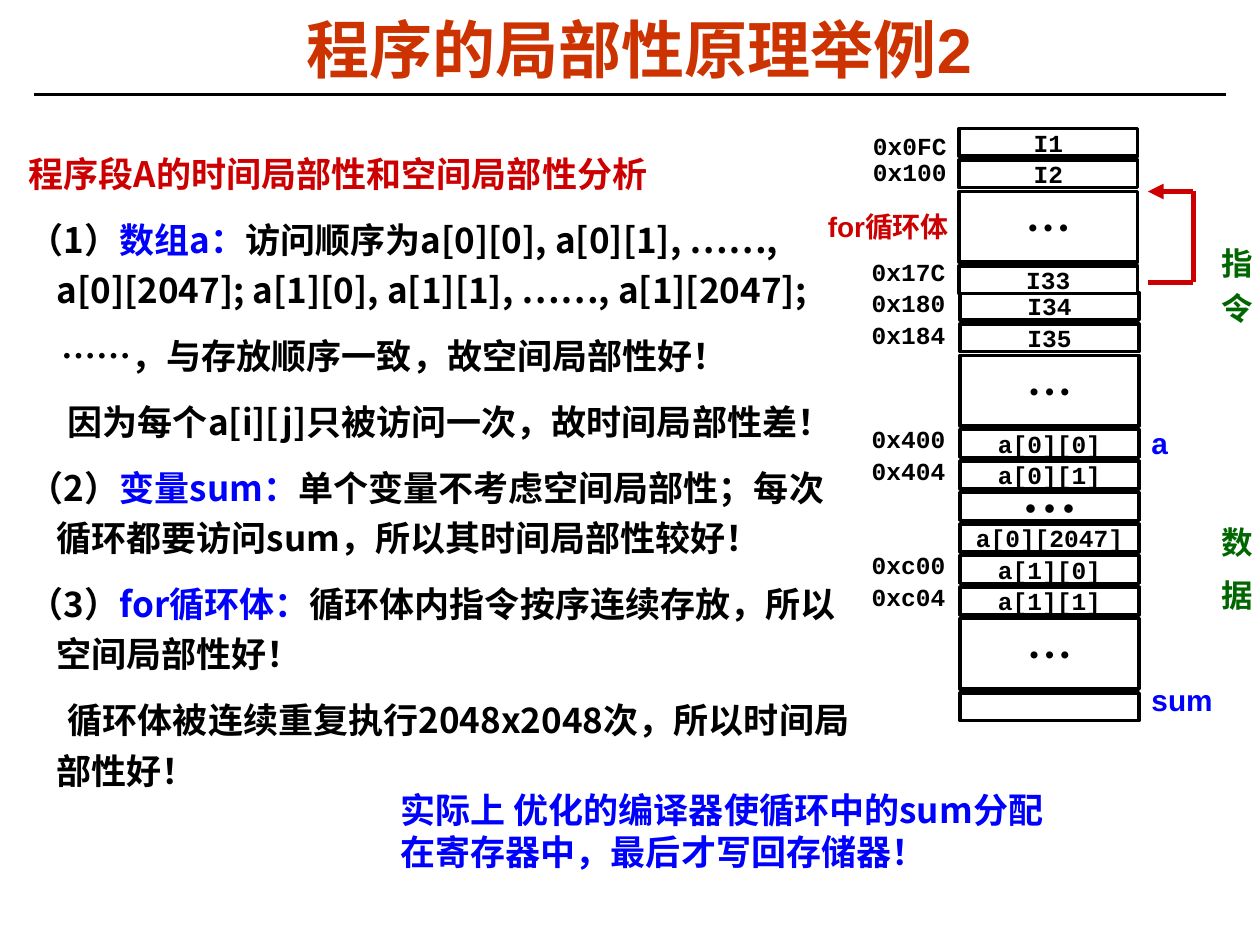
import lxml.etree
import pptx
import pptx.dml.color
import pptx.enum.shapes
import pptx.enum.text
import pptx.oxml.ns
import pptx.util

Inches = pptx.util.Inches
Pt = pptx.util.Pt
RGBColor = pptx.dml.color.RGBColor
Align = pptx.enum.text.PP_ALIGN
Anchor = pptx.enum.text.MSO_ANCHOR
qn = pptx.oxml.ns.qn

BLACK = RGBColor(0x00, 0x00, 0x00)
WHITE = RGBColor(0xFF, 0xFF, 0xFF)
ORANGE = RGBColor(0xCC, 0x33, 0x00)
RED = RGBColor(0xCC, 0x00, 0x00)
BLUE = RGBColor(0x00, 0x00, 0xFF)
GREEN = RGBColor(0x00, 0x66, 0x00)

CJK = "Noto Sans CJK SC"
MONO = "Courier New"
DOTS = "• • •"
ROW_HEIGHT, TALL_HEIGHT, ROW_GAP = 0.22, 0.56, 0.03

UPPER_ROWS = ["I1", "I2", DOTS, "I33"]
LOWER_ROWS = ["I34", "I35", DOTS, "a[0][0]", "a[0][1]", "short dots",
              "a[0][2047]", "a[1][0]", "a[1][1]", DOTS, ""]
ADDRESSES = [("0x0FC", 0.01, 0), ("0x100", 0.01, 0.21), ("0x17C", 0, 1),
             ("0x180", 0, 1.25), ("0x184", 0, 1.5), ("0x400", 0, 2.33),
             ("0x404", 0, 2.58), ("0xc00", 0, 3.33), ("0xc04", 0, 3.58)]
ANALYSIS = [
    (-0.22, 1.1, [("程序段A的时间局部性和空间局部性分析", RED)]),
    (-0.22, 1.2, [("（1）", BLACK), ("数组a：", BLUE),
                  ("访问顺序为a[0][0], a[0][1], ……, a[0][2047]; "
                   "a[1][0], a[1][1], ……, a[1][2047];", BLACK)]),
    (0.04, 1.2, [("……，与存放顺序一致，故空间局部性好！", BLACK)]),
    (0.09, 1.2, [("因为每个a[i][j]只被访问一次，故时间局部性差！", BLACK)]),
    (-0.22, 1.2, [("（2）", BLACK), ("变量sum：", BLUE),
                  ("单个变量不考虑空间局部性；每次循环都要访问sum，"
                   "所以其时间局部性较好！", BLACK)]),
    (-0.22, 1.2, [("（3）", BLACK), ("for循环体：", BLUE),
                  ("循环体内指令按序连续存放，所以空间局部性好！", BLACK)]),
    (0.09, 1.2, [("循环体被连续重复执行2048x2048次，所以时间局部性好！", BLACK)]),
]


def set_values(target, values):
    """Set each attribute of the target from a dict."""
    for name, value in values.items():
        setattr(target, name, value)


def add_run(paragraph, text, size, color, font=CJK):
    """Append a bold run in the given style."""
    run = paragraph.add_run()
    run.text = text
    set_values(run.font, {"size": Pt(size), "bold": True, "name": font})
    run.font.color.rgb = color
    east_asian = lxml.etree.SubElement(run.font._element, qn("a:ea"))
    east_asian.set("typeface", CJK)


def set_frame(shape, inset=(0.1, 0.05), wrap=True, anchor=Anchor.TOP):
    """Set the insets, wrapping and anchor of a shape's text."""
    frame = shape.text_frame
    across, down = map(Inches, inset)
    set_values(frame, {"margin_left": across, "margin_right": across,
                       "margin_top": down, "margin_bottom": down,
                       "word_wrap": wrap, "vertical_anchor": anchor})
    return frame


def add_label(slide, box, text, size, color, font=CJK, **frame_values):
    """Add a text box with one run and return its paragraph."""
    shape = slide.shapes.add_textbox(*map(Inches, box))
    paragraph = set_frame(shape, **frame_values).paragraphs[0]
    add_run(paragraph, text, size, color, font)
    return paragraph


def add_line(slide, start, end, color, width, arrow=False):
    """Draw a straight line, with an arrowhead at its end if asked."""
    line = slide.shapes.add_connector(
        pptx.enum.shapes.MSO_CONNECTOR.STRAIGHT, *map(Inches, start + end))
    line.line.color.rgb = color
    line.line.width = Pt(width)
    properties = line._element.spPr
    if arrow:
        head = lxml.etree.SubElement(properties.find(qn("a:ln")), qn("a:tailEnd"))
        head.set("type", "triangle")
    lxml.etree.SubElement(properties, qn("a:effectLst"))


def add_title(slide, left, top, width, height):
    """Place the title and the rule under it."""
    paragraph = add_label(slide, (left, top, width, height), "程序的局部性原理举例2",
                          36, ORANGE, "Arial", anchor=Anchor.MIDDLE)
    set_values(paragraph, {"alignment": Align.CENTER, "line_spacing": 0.87})
    rule = top + height + 0.01
    add_line(slide, (0.27, rule), (9.73, rule), BLACK, 1.5)


def add_analysis(slide, left, top, width, height):
    """Place the paragraphs that analyse locality."""
    shape = slide.shapes.add_textbox(*map(Inches, (left, top, width, height)))
    frame = set_frame(shape)
    for index, (indent, spacing, runs) in enumerate(ANALYSIS):
        paragraph = frame.add_paragraph() if index else frame.paragraphs[0]
        paragraph.line_spacing = spacing
        if index:
            paragraph.space_before = Pt(8.8)
        properties = paragraph._p.get_or_add_pPr()
        properties.set("marL", str(Inches(0.22)))
        properties.set("indent", str(Inches(indent)))
        for text, color in runs:
            add_run(paragraph, text, 20, color)


def add_memory_block(slide, left, top, width, rows):
    """Stack memory cells downwards from the given corner."""
    for row in rows:
        height = TALL_HEIGHT if row == DOTS else ROW_HEIGHT
        cell = slide.shapes.add_shape(
            pptx.enum.shapes.MSO_SHAPE.RECTANGLE,
            *map(Inches, (left, top, width, height)))
        cell.shadow.inherit = False
        cell.fill.solid()
        cell.fill.fore_color.rgb = WHITE
        cell.line.color.rgb = BLACK
        cell.line.width = Pt(2)
        paragraph = set_frame(cell, wrap=False, anchor=Anchor.MIDDLE).paragraphs[0]
        paragraph.alignment = Align.CENTER
        if row == "short dots":
            add_run(paragraph, DOTS, 18, BLACK, "Times New Roman")
        elif row:
            add_run(paragraph, row, 14, BLACK, "Arial" if row == DOTS else MONO)
        top += height + ROW_GAP


def add_addresses(slide, left, top, width, height):
    """Place the addresses beside the memory cells."""
    for text, across, down in ADDRESSES:
        add_label(slide, (left + across, top + down, width, height),
                  text, 14, BLACK, MONO)
    add_label(slide, (left - 0.25, top + 0.67, 1.23, 0.27), "for循环体",
              16, RED, "Arial", inset=(0, 0))


def add_loop_arrow(slide, left, top, width, height):
    """Draw the arrow from the loop's end back to its start."""
    right, bottom = left + width, top + height
    add_line(slide, (left, bottom), (right, bottom), RED, 3)
    add_line(slide, (right, bottom), (right, top), RED, 3)
    add_line(slide, (right, top), (left, top), RED, 3, arrow=True)


def add_side_labels(slide, left, top):
    """Name the variables and the two memory areas."""
    for text, down, width in [("a", 1.38, 0.32), ("sum", 3.42, 0.91)]:
        add_label(slide, (left, top + down, width, 0.38), text, 17, BLUE, "Arial")
    for (first, second), down, gap in [("指令", 0, 4), ("数据", 2.21, 9)]:
        paragraph = add_label(slide, (left + 0.63, top + down, 0.3, 0.82), first,
                              18, GREEN, "Arial", inset=(0, 0))
        paragraph.alignment = Align.CENTER
        below = paragraph._parent.add_paragraph()
        set_values(below, {"alignment": Align.CENTER, "space_before": Pt(gap)})
        add_run(below, second, 18, GREEN, "Arial")


def main():
    """Build and save the slide."""
    presentation = pptx.Presentation()
    set_values(presentation, {"slide_width": Inches(10), "slide_height": Inches(7.5)})
    slide = presentation.slides.add_slide(presentation.slide_layouts[6])
    add_title(slide, 0.26, 0.12, 9.63, 0.62)
    add_analysis(slide, 0.13, 1.13, 6.73, 5.22)
    add_addresses(slide, 6.82, 0.99, 0.82, 0.33)
    add_side_labels(slide, 9.04, 1.94)
    add_memory_block(slide, 7.62, 2.32, 1.42, LOWER_ROWS)
    add_memory_block(slide, 7.61, 1.02, 1.42, UPPER_ROWS)
    add_loop_arrow(slide, 9.11, 1.52, 0.36, 0.72)
    add_label(slide, (3.18, 6.26, 5.14, 0.67),
              "实际上 优化的编译器使循环中的sum分配在寄存器中，最后才写回存储器！",
              20, BLUE, inset=(0, 0))
    presentation.save("out.pptx")


if __name__ == "__main__":
    main()
